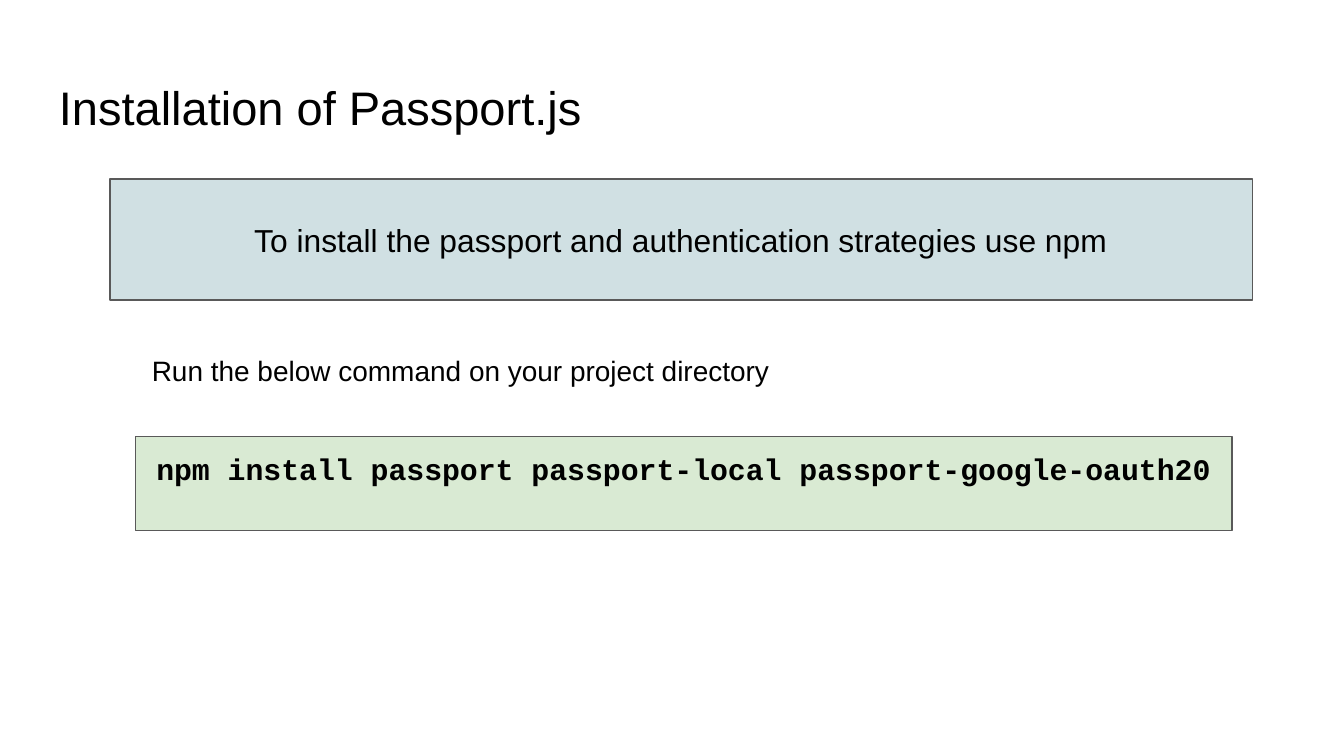
"""Build the slide on installing Passport.js."""
import pptx
import pptx.dml.color
import pptx.enum.shapes
import pptx.enum.text
import pptx.util

Pt = pptx.util.Pt
ALIGN = pptx.enum.text.PP_ALIGN
ANCHOR = pptx.enum.text.MSO_ANCHOR

BLACK = pptx.dml.color.RGBColor(0x00, 0x00, 0x00)
GREY = pptx.dml.color.RGBColor(0x59, 0x59, 0x59)
BLUE = pptx.dml.color.RGBColor(0xD0, 0xE0, 0xE3)
GREEN = pptx.dml.color.RGBColor(0xD9, 0xEA, 0xD3)


class SlideBuilder:
    """Hold the style and the current slide."""

    font = "Arial"
    inset = Pt(7.2)
    outline = Pt(0.75)

    def __init__(self, page):
        self.page = page

    def set_text(self, box, text, size, align=ALIGN.LEFT, anchor=ANCHOR.TOP, **font):
        """Put one formatted paragraph into a box."""
        frame = box.text_frame
        sides = ("left", "top", "right", "bottom")
        layout = {f"margin_{side}": self.inset for side in sides}
        layout.update(word_wrap=True, vertical_anchor=anchor)
        for name, value in layout.items():
            setattr(frame, name, value)
        para = frame.paragraphs[0]
        para.alignment = align
        span = para.add_run()
        span.text = text
        for name, value in {"name": self.font, "size": Pt(size), **font}.items():
            setattr(span.font, name, value)
        span.font.color.rgb = BLACK

    def label(self, bounds, text, size):
        """Add plain text."""
        box = self.page.shapes.add_textbox(*map(Pt, bounds))
        self.set_text(box, text, size)
        return box

    def panel(self, bounds, fill, text, size, **style):
        """Add a filled, outlined rectangle with centred text."""
        box = self.page.shapes.add_shape(
            pptx.enum.shapes.MSO_SHAPE.RECTANGLE, *map(Pt, bounds))
        box.shadow.inherit = False
        box.fill.solid()
        box.fill.fore_color.rgb = fill
        box.line.color.rgb = GREY
        box.line.width = self.outline
        self.set_text(box, text, size, ALIGN.CENTER, **style)
        return box


def main():
    """Create the deck and save it."""
    deck = pptx.Presentation()
    deck.slide_width, deck.slide_height = Pt(720), Pt(405)
    slide = SlideBuilder(deck.slides.add_slide(deck.slide_layouts[6]))

    slide.label((24.5, 35, 671, 45), "Installation of Passport.js", 25.2)
    slide.panel((59, 96, 612, 64.8), BLUE,
                "To install the passport and authentication strategies use npm",
                17, anchor=ANCHOR.MIDDLE)
    note = slide.label((74.2, 182.2, 481, 32.4),
                       "Run the below command on your project directory", 15)
    note.text_frame.auto_size = pptx.enum.text.MSO_AUTO_SIZE.SHAPE_TO_FIT_TEXT
    slide.panel((72.5, 234, 587.5, 50.4), GREEN,
                "npm install passport passport-local passport-google-oauth20",
                16, name="Courier New", bold=True)

    deck.save("out.pptx")


if __name__ == "__main__":
    main()
